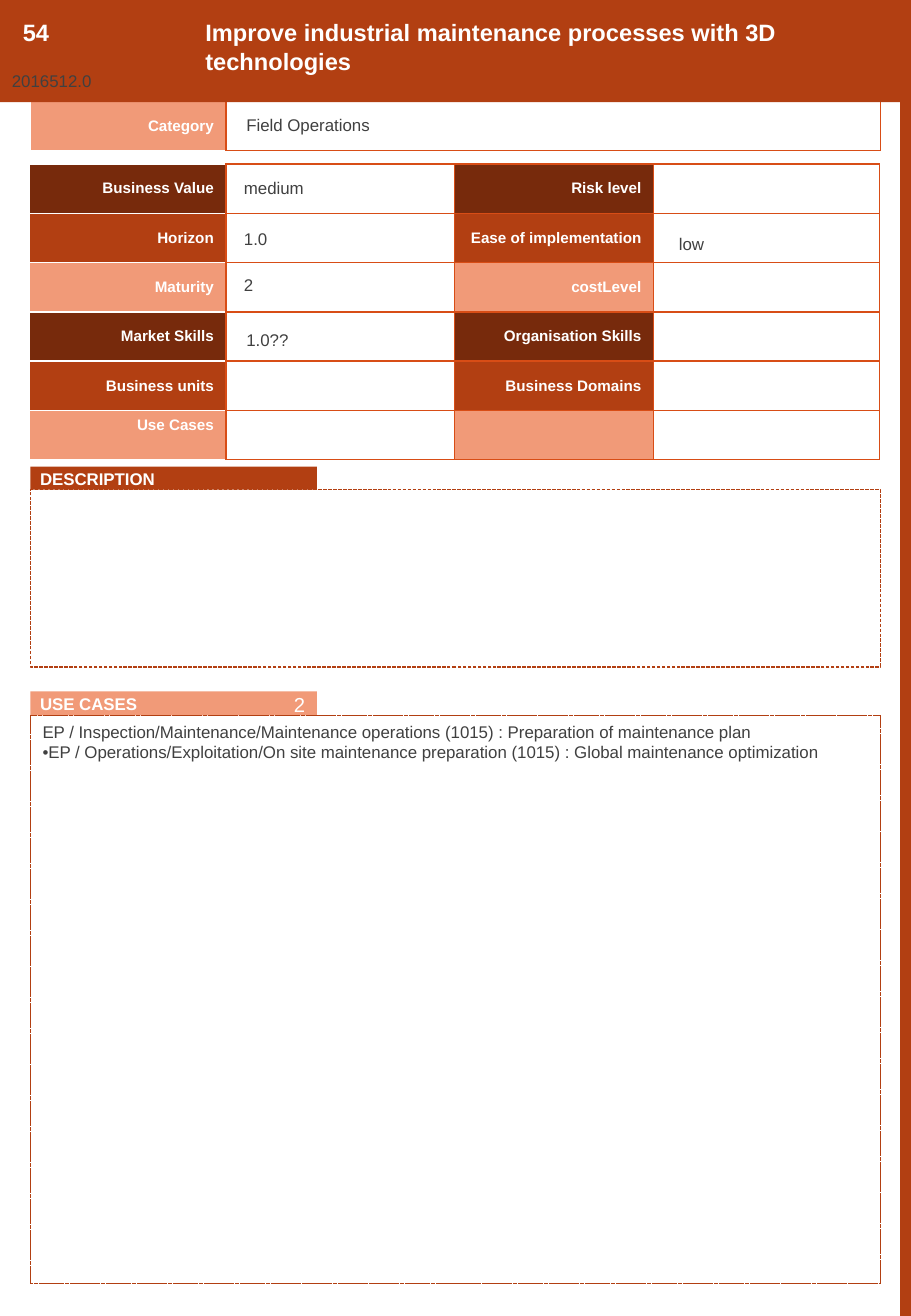
from lxml import etree
from pptx import Presentation
from pptx.dml.color import RGBColor
from pptx.enum.dml import MSO_LINE
from pptx.enum.shapes import MSO_SHAPE
from pptx.enum.text import MSO_ANCHOR, MSO_AUTO_SIZE, PP_ALIGN
from pptx.oxml import parse_xml
from pptx.util import Inches, Pt

RECTANGLE = MSO_SHAPE.RECTANGLE
SYS_DASH = MSO_LINE.SQUARE_DOT
TOP, MIDDLE = MSO_ANCHOR.TOP, MSO_ANCHOR.MIDDLE
LEFT, RIGHT = PP_ALIGN.LEFT, PP_ALIGN.RIGHT
NO_FIT = MSO_AUTO_SIZE.NONE
DARK, RUST, SALMON = "772A0C", "B23F12", "F19A78"
ORANGE, GREY, WHITE = "D84D16", "404040", "FFFFFF"
DRAWING = "http://schemas.openxmlformats.org/drawingml/2006/main"


def paint(fill, color):
    fill.solid()
    fill.fore_color.rgb = RGBColor.from_string(color)


def write(para, text, size, color, bold=False, align=LEFT):
    para.alignment = align
    para.space_before = Pt(0)
    span = para.add_run()
    span.text = text
    span.font.name = "Arial"
    span.font.size = Pt(size)
    span.font.bold = bold
    paint(span.font.fill, color)


deck = Presentation()
deck.slide_width = Inches(7.5)
deck.slide_height = Inches(10.83)
page = deck.slides.add_slide(deck.slide_layouts[1])
title, use_cases = page.placeholders
tree = title.element.getparent()

category_rows = [("Category", None)]
rating_rows = [
    ("Business Value", "Risk level"),
    ("Horizon", "Ease of implementation"),
    ("Maturity", "costLevel"),
    ("Market Skills", "Organisation Skills"),
    ("Business units", "Business Domains"),
    ("Use Cases", ""),
]
tables = [
    (0.25, 0.83, 0.41, [1.61, 5.39], category_rows, [SALMON]),
    (0.24, 1.35, 0.405, [1.62, 1.88, 1.64, 1.86], rating_rows, [DARK, RUST, SALMON]),
]
for left, top, row_height, widths, rows, shades in tables:
    frame = page.shapes.add_table(
        len(rows), len(widths), Inches(left), Inches(top),
        Inches(sum(widths)), Inches(row_height * len(rows)))
    table = frame.table
    table.first_row = table.horz_banding = False
    for column, width in zip(table.columns, widths):
        column.width = Inches(width)
    for row_index, labels in enumerate(rows):
        table.rows[row_index].height = Inches(row_height)
        for column_index in range(len(widths)):
            cell = table.cell(row_index, column_index)
            is_label = column_index % 2 == 0
            paint(cell.fill, shades[row_index % len(shades)] if is_label else WHITE)
            if is_label and labels[column_index // 2]:
                label = labels[column_index // 2]
                cell.vertical_anchor = TOP if label == "Use Cases" else MIDDLE
                write(cell.text_frame.paragraphs[0], label, 9, WHITE, True, RIGHT)
            properties = cell._tc.get_or_add_tcPr()
            for position, side in enumerate("LRTB"):
                color = WHITE if column_index == 0 and side != "R" else ORANGE
                properties.insert(position, parse_xml(
                    f'<a:ln{side} xmlns:a="{DRAWING}" w="12700"><a:solidFill>'
                    f'<a:srgbClr val="{color}"/></a:solidFill></a:ln{side}>'))

blocks = [
    (7.41, 0, 0.09, 10.83, RUST, "", 10, WHITE, True, TOP),
    (0, -0.01, 7.5, 0.85, RUST, "", 10, WHITE, True, TOP),
    (0.25, 3.84, 2.36, 0.2, RUST, "DESCRIPTION", 10, WHITE, True, MIDDLE),
    (0.25, 5.69, 2.36, 0.2, SALMON, "USE CASES", 10, WHITE, True, MIDDLE),
    (0.09, 0.1, 0.8, 0.34, RUST, "54", 14, WHITE, True, TOP),
    (0, 0.53, 1.06, 0.29, RUST, "2016512.0", 10, GREY, False, TOP),
    (0.25, 4.03, 7, 1.46, WHITE, "", 10, GREY, False, TOP),
]
for left, top, width, height, color, text, size, ink, bold, anchor in blocks:
    box = page.shapes.add_shape(
        RECTANGLE, Inches(left), Inches(top), Inches(width), Inches(height))
    box.shadow.inherit = False
    paint(box.fill, color)
    box.line.fill.background()
    box.text_frame.vertical_anchor = anchor
    if anchor == MIDDLE:
        box.text_frame.margin_left = box.text_frame.margin_right = Inches(0.08)
    if text:
        write(box.text_frame.paragraphs[0], text, size, ink, bold)
description = box

placements = [
    (title, 1.59, 0.1, 5.41, 0.34, RUST),
    (use_cases, 0.25, 5.89, 7, 4.67, WHITE),
]
for holder, left, top, width, height, color in placements:
    holder.left, holder.top = Inches(left), Inches(top)
    holder.width, holder.height = Inches(width), Inches(height)
    paint(holder.fill, color)
    holder.text_frame.auto_size = NO_FIT
    holder.text_frame.vertical_anchor = TOP
    tree.append(holder.element)
write(title.text_frame.paragraphs[0],
      "Improve industrial maintenance processes with 3D technologies", 14, WHITE, True)

for panel in (description, use_cases):
    paint(panel.line.fill, RUST)
    panel.line.width = Pt(0)
    panel.line.dash_style = SYS_DASH

cases = [
    ("EP / Inspection/Maintenance/Maintenance operations (1015) : "
     "Preparation of maintenance plan", None),
    ("EP / Operations/Exploitation/On site maintenance preparation (1015) : "
     "Global maintenance optimization", "\u2022"),
]
for index, (text, bullet) in enumerate(cases):
    body = use_cases.text_frame
    para = body.add_paragraph() if index else body.paragraphs[0]
    write(para, text, 10, GREY)
    properties = para._p.get_or_add_pPr()
    properties.set("marL", "0")
    properties.set("indent", "0")
    if bullet:
        etree.SubElement(properties, f"{{{DRAWING}}}buChar", char=bullet)
    else:
        etree.SubElement(properties, f"{{{DRAWING}}}buNone")

values = [
    (5.49, 1.87, 1.75, "low", 10, GREY, LEFT),
    (1.91, 1.83, 1.75, "1.0", 10, GREY, LEFT),
    (1.91, 1.41, 1.75, "medium", 10, GREY, LEFT),
    (1.91, 2.21, 1.75, "2", 10, GREY, LEFT),
    (1.93, 0.89, 4.77, "Field Operations", 10, GREY, LEFT),
    (1.93, 2.66, 1.75, "1.0??", 10, GREY, LEFT),
    (1.22, 5.65, 1.39, "2", 12, WHITE, RIGHT),
]
for left, top, width, text, size, ink, align in values:
    box = page.shapes.add_textbox(Inches(left), Inches(top), Inches(width), Inches(0.29))
    box.text_frame.word_wrap = True
    write(box.text_frame.paragraphs[0], text, size, ink, align=align)

deck.save("out.pptx")
